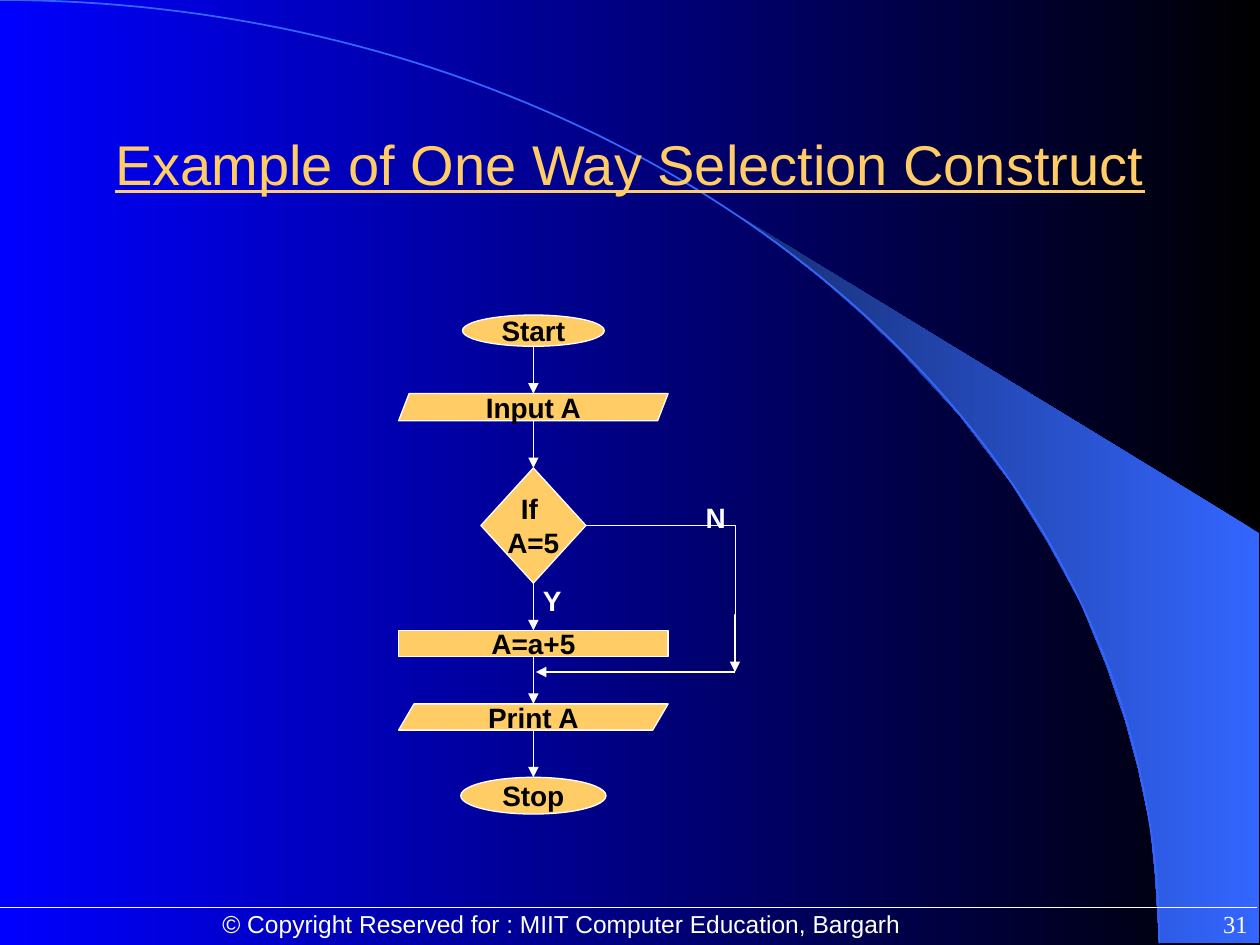
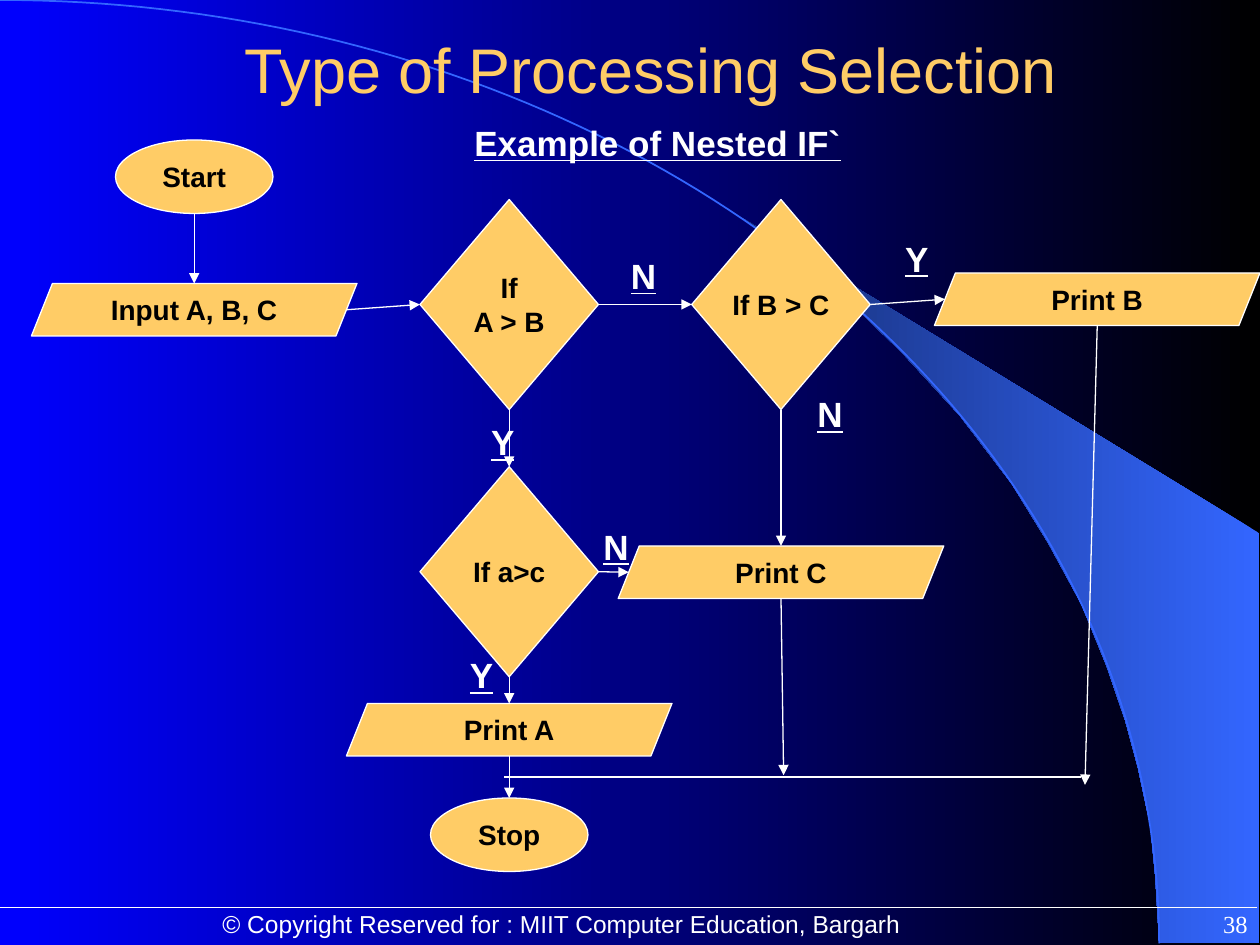
from math import cos, pi, sin

from pptx import Presentation
from pptx.dml.color import RGBColor
from pptx.enum.shapes import MSO_CONNECTOR as CONN, MSO_SHAPE as SHAPE
from pptx.enum.text import MSO_ANCHOR as ANCHOR, PP_ALIGN as ALIGN
from pptx.oxml.xmlchemy import OxmlElement
from pptx.shapes.autoshape import Shape
from pptx.util import Pt

COLORS = {
    "black": "000000",
    "blue": "0000FF",
    "sky": "3366FF",
    "navy": "172F75",
    "gold": "FFCC66",
    "white": "FFFFFF",
}
WIDTH, HEIGHT = 720, 540
TOP, LEFT, BOTTOM, RIGHT = range(4)
OVAL, DATA = SHAPE.OVAL, SHAPE.PARALLELOGRAM
STEP, DECISION = SHAPE.RECTANGLE, SHAPE.FLOWCHART_DECISION
JOINABLE = (STEP, DECISION)

# Outline of the sweep on the right, in points
SWEEP = [
    (662.4, 538.5), (719.3, 539), (719.3, 304.5), (424, 124.5), (449.3, 143.3),
    (470.2, 159.8), (493.2, 180), (515.5, 201.6), (548.6, 237.6),
    (578.2, 276.5), (599, 310.3), (617.8, 344.9), (632.2, 380.2),
    (643, 411.8), (650.2, 438.5), (657.4, 472.3), (660.2, 501.1),
]


def rgb(name):
    return RGBColor.from_string(COLORS[name])


def set_gradient(fill, first, last):
    fill.gradient()
    fill.gradient_angle = 180
    for stop, name in zip(fill.gradient_stops, (first, last)):
        stop.color.rgb = rgb(name)


def set_line(line, color="white", width=0.75):
    line.color.rgb = rgb(color)
    line.width = Pt(width)


def write(tf, text, size, color="white", font="Arial", align=ALIGN.LEFT,
          anchor=ANCHOR.TOP, bold=False, underline=False, wrap=True):
    tf.text = text
    tf.word_wrap = wrap
    tf.vertical_anchor = anchor
    for p in tf.paragraphs:
        p.alignment = align
        p.font.name = font
        p.font.size = Pt(size)
        p.font.bold = bold
        p.font.underline = underline
        p.font.color.rgb = rgb(color)


def add_text(s, box, text, size, **style):
    tb = s.shapes.add_textbox(*map(Pt, box))
    write(tb.text_frame, text, size, **style)


def add_node(s, kind, center, size, text, slant=None):
    (cx, cy), (w, h) = center, size
    sp = s.shapes.add_shape(kind, Pt(cx - w / 2), Pt(cy - h / 2), Pt(w), Pt(h))
    sp.shadow.inherit = False
    sp.fill.solid()
    sp.fill.fore_color.rgb = rgb("gold")
    set_line(sp.line)
    if slant is not None:
        sp.adjustments[0] = slant
    write(sp.text_frame, text, 16, color="black", align=ALIGN.CENTER,
          anchor=ANCHOR.MIDDLE, bold=True, wrap=False)
    return sp


def side_point(sp, side):
    """Middle of a side; a parallelogram's slanted sides lie further in."""
    inset = 0
    if sp.auto_shape_type == DATA:
        inset = int(sp.adjustments[0] * sp.height / 2)
    cx, cy = sp.left + sp.width // 2, sp.top + sp.height // 2
    return {
        TOP: (cx, sp.top),
        LEFT: (sp.left + inset, cy),
        BOTTOM: (cx, sp.top + sp.height),
        RIGHT: (sp.left + sp.width - inset, cy),
    }[side]


def link(s, start, end, arrow=True, kind=CONN.STRAIGHT):
    """Join two ends, each a point or a (shape, side) pair."""
    points = [side_point(*e) if isinstance(e[0], Shape) else map(Pt, e)
              for e in (start, end)]
    c = s.shapes.add_connector(kind, *points[0], *points[1])
    for e, join in ((start, c.begin_connect), (end, c.end_connect)):
        if isinstance(e[0], Shape) and e[0].auto_shape_type in JOINABLE:
            join(*e)
    set_line(c.line)
    if arrow:
        tail = OxmlElement("a:tailEnd")
        tail.set("type", "triangle")
        c.line._get_or_add_ln().append(tail)
    c._element.spPr.append(OxmlElement("a:effectLst"))
    return c


def bend(connector, *adjustments):
    """Give an elbow connector a second bend."""
    geom = connector._element.spPr.prstGeom
    geom.set("prst", "bentConnector4")
    av = geom.get_or_add_avLst()
    for i, value in enumerate(adjustments, 1):
        gd = OxmlElement("a:gd")
        gd.set("name", f"adj{i}")
        gd.set("fmla", f"val {value}")
        av.append(gd)


def add_outline(s, points, close):
    points = [(Pt(x), Pt(y)) for x, y in points]
    builder = s.shapes.build_freeform(*points[0])
    builder.add_line_segments(points[1:], close=close)
    sp = builder.convert_to_shape()
    sp.shadow.inherit = False
    return sp


def add_backdrop(s):
    set_gradient(s.background.fill, "black", "blue")
    sweep = add_outline(s, SWEEP, close=True)
    set_gradient(sweep.fill, "sky", "navy")
    sweep.line.fill.background()

    # Quarter ellipse from the top left corner
    steps = 90
    angles = [pi / 2 * i / steps for i in range(steps + 1)]
    arc = add_outline(
        s, [(662.4 * sin(a), 539 * (1 - cos(a))) for a in angles], close=False)
    arc.fill.background()
    set_line(arc.line, "sky", 1)


def add_footer(s, box, number):
    x, y, w, h = box
    link(s, (x, y + 2.4), (x + w - 1.5, y + 2.4), arrow=False)
    add_text(s, (x + 102, y, 438, h),
             "© Copyright Reserved for : MIIT Computer Education, Bargarh", 14,
             align=ALIGN.CENTER, anchor=ANCHOR.MIDDLE)
    add_text(s, (x + w - 150, y, 150, h), number, 14, font="Times New Roman",
             align=ALIGN.RIGHT, anchor=ANCHOR.MIDDLE)


def add_title(s, box, text, size, underline=False):
    add_text(s, box, text, size, color="gold", align=ALIGN.CENTER,
             anchor=ANCHOR.MIDDLE, underline=underline)


def add_one_way_chart(s, box):
    x, y, w, h = box
    axis, gap = x + 77.1, 27

    # Column of steps with equal gaps
    steps = [
        (OVAL, 81, 17.9, "Start", None),
        (DATA, 154, 15.5, "Input A", 0.386),
        (DECISION, 60, 65.8, "If \nA=5", None),
        (STEP, 154, 15, "A=a+5", None),
        (DATA, 154, 15, "Print A", 0.587),
        (OVAL, 83, 21, "Stop", None),
    ]
    nodes, top = [], y
    for kind, width, height, text, slant in steps:
        nodes.append(add_node(s, kind, (axis, top + height / 2),
                              (width, height), text, slant))
        top += height + gap
    for upper, lower in zip(nodes, nodes[1:]):
        link(s, (upper, BOTTOM), (lower, TOP))

    # Branch that skips the step
    corner = (x + w, y + 204)
    elbow = link(s, (nodes[2], RIGHT), corner, kind=CONN.ELBOW)
    bend(elbow, 100300, 61000)
    link(s, corner, (axis + 1.4, corner[1]))
    for dx, dy, text in ((168.5, 102.5, "N"), (75.5, 150, "Y")):
        add_text(s, (x + dx, y + dy, 30, 26.5), text, 16, bold=True)


def add_nested_chart(s, box):
    x, y, w, h = box
    sizes = {OVAL: (90, 42), DATA: (186, 30), DECISION: (102, 120)}
    col_input, col_a, col_b, col_print = 93, 273, 428.3, w - 93

    def node(kind, cx, cy, text):
        slant = 0.4 if kind == DATA else None
        return add_node(s, kind, (x + cx, y + cy), sizes[kind], text, slant)

    # Steps and decisions
    if_ab = node(DECISION, col_a, 94, "If\nA > B")
    if_ac = node(DECISION, col_a, 246.7, "If a>c")
    if_bc = node(DECISION, col_b, 94, "If B > C")
    print_b = node(DATA, col_print, 91, "Print B")
    print_c = node(DATA, col_b, 247, "Print C")
    print_a = node(DATA, col_a, 337, "Print A")
    stop = node(OVAL, col_a, h - 21, "Stop")
    read = node(DATA, col_input, 97, "Input A, B, C")
    start = node(OVAL, col_input, 21, "Start")

    # Arrows between them
    for upper, lower in ((start, read), (if_ab, if_ac), (if_ac, print_a),
                         (print_a, stop), (if_bc, print_c)):
        link(s, (upper, BOTTOM), (lower, TOP))
    for before, after in ((read, if_ab), (if_ab, if_bc), (if_bc, print_b),
                          (if_ac, print_c)):
        link(s, (before, RIGHT), (after, LEFT))

    # Line that gathers the branches
    merge = y + 364
    link(s, (x + 270, merge), (x + 600, merge), arrow=False)
    link(s, (print_b, BOTTOM), (x + 602, merge + 4.5))
    link(s, (print_c, BOTTOM), (x + 429.8, merge - 1))

    # Branch labels
    labels = [(255.6, 157, "Y"), (243.4, 290, "Y"), (492.2, 52, "Y"),
              (335.5, 62, "N"), (442, 141, "N"), (319.7, 216.6, "N")]
    for dx, dy, text in labels:
        add_text(s, (x + dx, y + dy, 28.8, 31.7), text, 20, bold=True,
                 underline=True, wrap=False)


def new_slide(prs, number):
    s = prs.slides.add_slide(prs.slide_layouts[6])
    add_backdrop(s)
    add_footer(s, (0, 516, WIDTH, 24), number)
    return s


def main():
    prs = Presentation()
    prs.slide_width, prs.slide_height = Pt(WIDTH), Pt(HEIGHT)

    s = new_slide(prs, "31")
    add_title(s, (54, 48, 612, 90), "Example of One Way Selection Construct",
              32, underline=True)
    add_one_way_chart(s, (227.7, 180, 192.3, 285))

    s = new_slide(prs, "38")
    add_title(s, (120, 18, 504, 42), "Type of Processing Selection", 36)
    add_text(s, (264, 66, 240, 31.7), "Example of Nested IF`", 20,
             bold=True, underline=True)
    add_nested_chart(s, (18, 80, 702, 418))

    prs.save("out.pptx")


if __name__ == "__main__":
    main()
